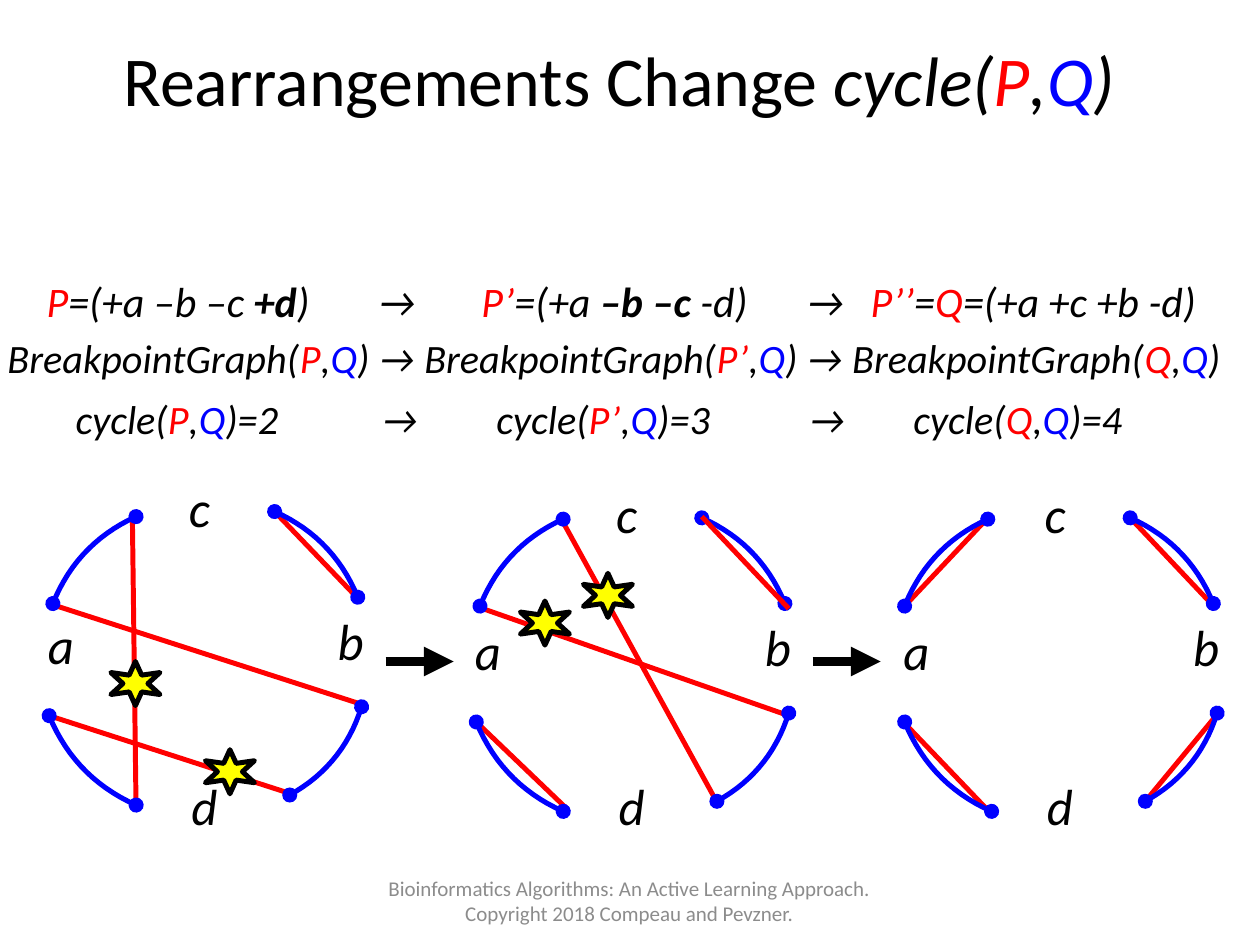
import pptx
import pptx.util
import pptx.dml.color
import pptx.enum.shapes
import pptx.enum.text
import pptx.oxml.ns
import lxml.etree

inch = pptx.util.Inches
kinds = pptx.enum.shapes
texts = pptx.enum.text
font = "Calibri"
hues = {"k": "000000", "r": "FF0000", "b": "0000FF", "y": "FFFF00", "g": "8C8C8C"}

P, P1, P2 = ("P", "ri"), ("P’", "ri"), ("P’’", "ri")
Q, QR, mid = ("Q", "bi"), ("Q", "ri"), (",", "ki")
title = [("Rearrangements Change ", "k"), ("cycle(", "ki"), P, mid, Q, (")", "ki")]
foot = [("Bioinformatics Algorithms: An Active Learning Approach. "
         "Copyright 2018 Compeau and Pevzner.", "g")]

rows = [
    (24, 0, (0.37, 3.0, 3.82, 6.4, 6.91), [
        ("\t", "ki"), P, ("=(+a –b –c", "ki"), (" +d", "kiB"), (")\t→\t", "ki"),
        P1, ("=(+a ", "ki"), ("–b –c", "kiB"), (" -d)\t→\t", "ki"),
        P2, ("=", "ki"), QR, ("=(+a +c +b -d)", "ki")]),
    (23, 4, (0.06,), [
        ("\tBreakpointGraph(", "ki"), P, mid, Q, (") → BreakpointGraph(", "ki"),
        P1, mid, Q, (") → BreakpointGraph(", "ki"), QR, mid, Q, (")", "ki")]),
    (23, 7, (0.6, 3.03, 3.94, 6.42, 7.25), [
        ("\tcycle(", "ki"), P, mid, Q, (")=2\t→\tcycle(", "ki"),
        P1, mid, Q, (")=3\t→\tcycle(", "ki"), QR, mid, Q, (")=4", "ki")]),
]

west = ((0.42, 4.79), (1.08, 4.1))
arcs = [
    ((2.18, 4.06), (2.84, 4.74)),
    ((2.87, 5.61), (2.3, 6.31)),
    ((1.08, 6.39), (0.39, 5.68)),
]
marks = [("a", 0.38, 5.03, 1), ("c", 1.5, 3.94, 1), ("b", 2.68, 5.0, 1), ("d", 1.52, 6.31, 0)]

panels = [
    {"shift": (0, 0), "west": (0, 0),
     "under": [((1.08, 6.42), (1.05, 4.06)), ((0.39, 5.68), (2.34, 6.31)),
               ((0.42, 4.8), (2.87, 5.59)), ((2.17, 4.05), (2.87, 4.78))],
     "over": []},
    {"shift": (3.39, 0.05), "west": (3.39, 0.02),
     "under": [((4.5, 6.42), (3.78, 5.73)), ((4.45, 4.11), (5.67, 6.33)),
               ((3.83, 4.83), (6.26, 5.68))],
     "over": [((5.57, 4.1), (6.26, 4.83))]},
    {"shift": (6.79, 0.05), "west": (6.76, 0.02),
     "under": [((9.66, 5.67), (9.09, 6.36)), ((7.83, 6.42), (7.17, 5.73)),
               ((8.96, 4.1), (9.65, 4.83)), ((7.18, 4.81), (7.84, 4.11))],
     "over": []},
]
stars = [(0.88, 5.25), (1.63, 5.95), (4.63, 4.55), (4.13, 4.77)]
bulge, steps = 0.1, 15

deck = pptx.Presentation()
deck.slide_width, deck.slide_height = inch(10), inch(7.5)
slide = deck.slides.add_slide(deck.slide_layouts[5])
shapes = slide.shapes


def tint(key):
    return pptx.dml.color.RGBColor.from_string(hues[key])


def node(base, tag, **attrs):
    return lxml.etree.SubElement(base, pptx.oxml.ns.qn(tag), attrs)


def write(para, runs, size):
    for words, style in runs:
        run = para.add_run()
        run.text = words
        face = run.font
        face.name, face.size = font, pptx.util.Pt(size)
        face.italic, face.bold = "i" in style, "B" in style
        face.color.rgb = tint(style[0])


def frame(shape, inset=0):
    body = shape.text_frame
    body.word_wrap = True
    body.margin_left = body.margin_right = inch(inset)
    body.margin_top = body.margin_bottom = inch(inset / 2)
    return body


def box(x, y, wide, high, inset=0):
    return frame(shapes.add_textbox(inch(x), inch(y), inch(wide), inch(high)), inset)


def stroke(shape, hue, width, **ends):
    shape.line.color.rgb = tint(hue)
    shape.line.width = pptx.util.Pt(width)
    for tag, kind in ends.items():
        node(shape.line._get_or_add_ln(), "a:" + tag, type=kind)


def link(start, end, hue="r", width=2.83, **ends):
    line = shapes.add_connector(kinds.MSO_CONNECTOR.STRAIGHT,
                                *[inch(v) for v in start + end])
    stroke(line, hue, width, **ends)
    node(line._element.spPr, "a:effectLst")


def arc(start, end, shift):
    (x, y), (dx, dy) = start, shift
    wide, high = end[0] - x, end[1] - y
    spots = []
    for i in range(steps + 1):
        t = i / steps
        lift = 4 * bulge * t * (1 - t)
        spots.append((inch(x + dx + wide * t + high * lift),
                      inch(y + dy + high * t - wide * lift)))
    path = shapes.build_freeform(*spots[0])
    path.add_line_segments(spots[1:], close=False)
    curve = path.convert_to_shape()
    curve.shadow.inherit = False
    curve.fill.background()
    stroke(curve, "b", 2.89, headEnd="oval", tailEnd="oval")


head = shapes.title
head.left, head.top, head.width, head.height = map(inch, (0.08, 0, 9.67, 1.25))
body = frame(head)
body.vertical_anchor = texts.MSO_ANCHOR.MIDDLE
body.paragraphs[0].alignment = texts.PP_ALIGN.CENTER
write(body.paragraphs[0], title, 40)

for panel in panels:
    for ends in panel["under"]:
        link(*ends)
    for ends in arcs:
        arc(*ends, panel["shift"])
    arc(*west, panel["west"])
    for ends in panel["over"]:
        link(*ends)
    dx, dy = panel["shift"]
    for name, x, y, part in marks:
        para = box(x + dx, y + dy * part, 0.34, 0.5).paragraphs[0]
        para.line_spacing = 0.63
        write(para, [(name, "ki")], 29)

for panel in panels[:2]:
    x = 3.06 + panel["shift"][0]
    link((x, 5.25), (x + 0.54, 5.25), "k", 5.67, tailEnd="triangle")

body = box(0, 2.19, 10, 1.4)
for i, (size, gap, stops, runs) in enumerate(rows):
    para = body.add_paragraph() if i else body.paragraphs[0]
    para.space_before = pptx.util.Pt(gap)
    tabs = node(para._p.get_or_add_pPr(), "a:tabLst")
    for stop in stops:
        node(tabs, "a:tab", pos=str(inch(stop)), algn="l")
    write(para, runs, size)

for x, y in stars:
    star = shapes.add_shape(kinds.MSO_SHAPE.STAR_6_POINT,
                            inch(x), inch(y), inch(0.39), inch(0.35))
    star.adjustments[0] = 0.22
    star.shadow.inherit = False
    star.fill.solid()
    star.fill.fore_color.rgb = tint("y")
    stroke(star, "k", 2.83)

body = box(2.83, 6.95, 4.33, 0.4, 0.1)
body.vertical_anchor = texts.MSO_ANCHOR.MIDDLE
body.paragraphs[0].alignment = texts.PP_ALIGN.CENTER
write(body.paragraphs[0], foot, 12)

deck.save("out.pptx")
